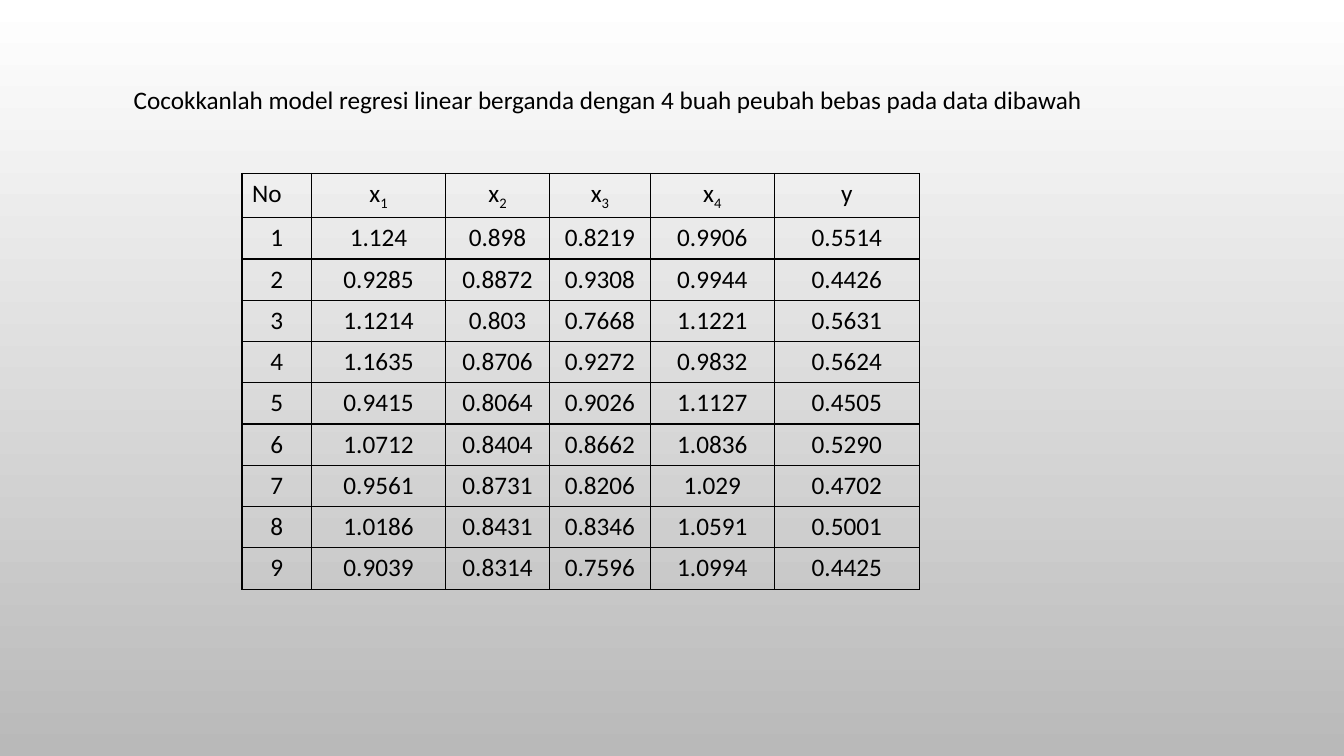
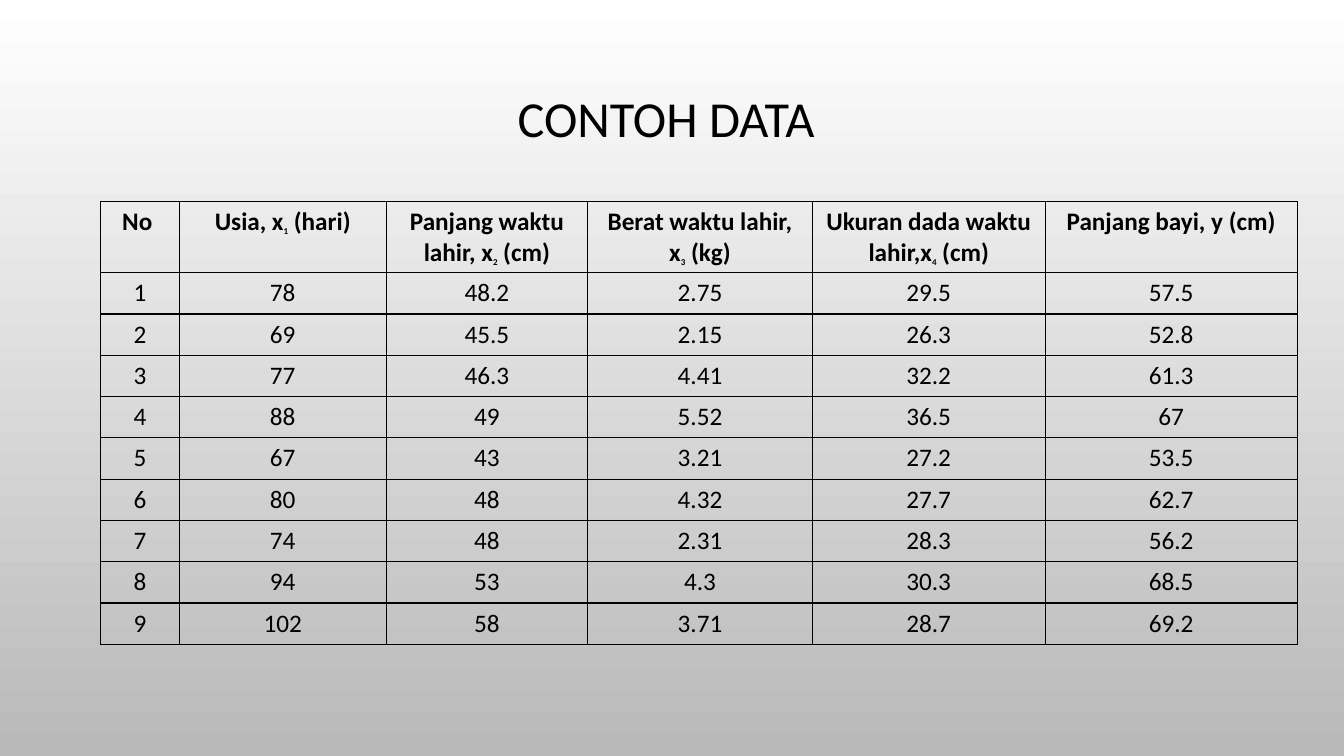
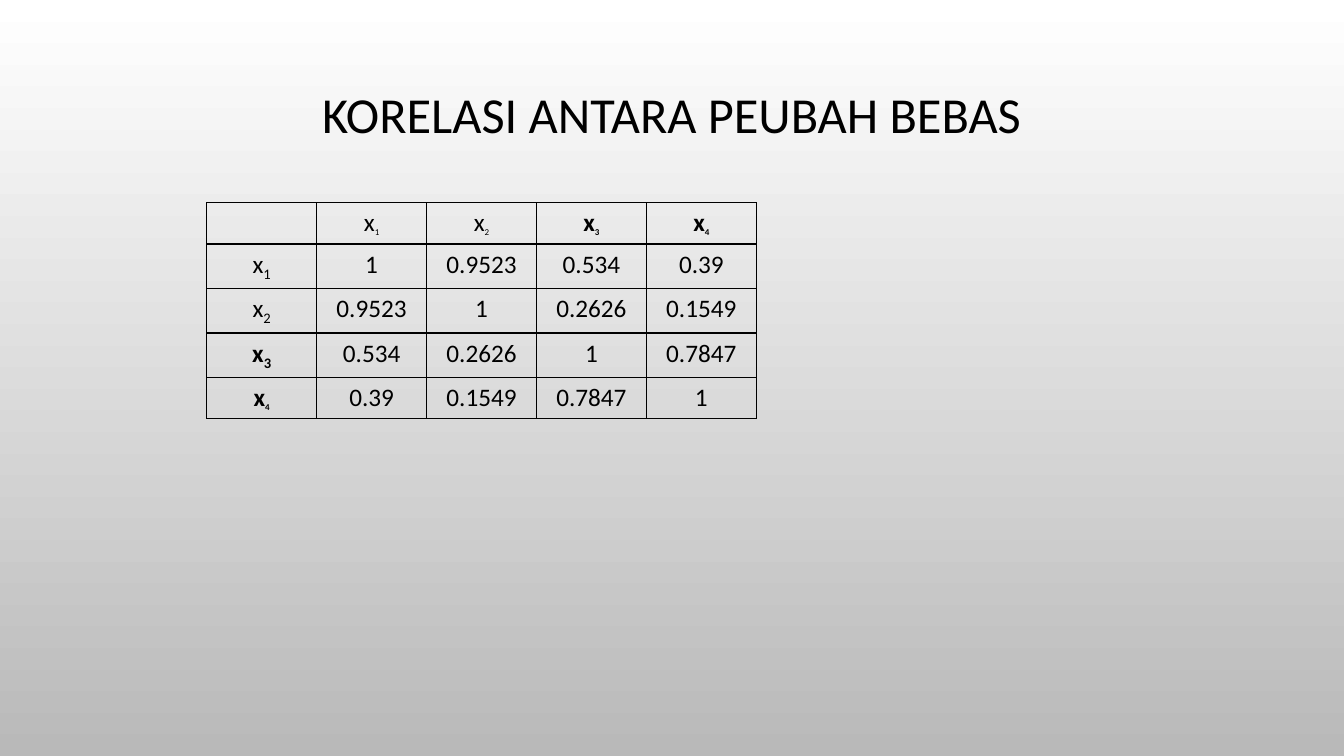
from dataclasses import dataclass

from lxml.etree import SubElement
from pptx import Presentation
from pptx.dml.color import RGBColor
from pptx.enum.text import MSO_ANCHOR, MSO_AUTO_SIZE, PP_ALIGN
from pptx.oxml import parse_xml
from pptx.oxml.ns import nsdecls, qn
from pptx.util import Cm, Pt


@dataclass(frozen=True)
class Theme:
    font: str = "Calibri"
    ink: RGBColor = RGBColor(0x00, 0x00, 0x00)
    sky: RGBColor = RGBColor(0xFF, 0xFF, 0xFF)
    ground: RGBColor = RGBColor(0xB9, 0xB9, 0xB9)
    title_size: int = 36
    body_size: int = 18
    index_size: int = 11
    border_width: int = 1
    row_height: float = 1.04


@dataclass(frozen=True)
class Label:
    text: str
    bold: bool = False
    small_index: bool = False
    align: PP_ALIGN = PP_ALIGN.CENTER


class Deck:
    """Hold the theme and the current slide, and draw each kind of element."""

    def __init__(self, theme):
        self.theme = theme
        self.presentation = Presentation()
        self.presentation.slide_width = Cm(33.87)
        self.presentation.slide_height = Cm(19.05)
        self.slide = None
        backdrop = self.presentation.slide_master.background.fill
        backdrop.gradient()
        backdrop.gradient_angle = 270
        for stop, color in zip(backdrop.gradient_stops, (theme.sky, theme.ground)):
            stop.color.rgb = color

    def new_slide(self):
        self.slide = self.presentation.slides.add_slide(self.presentation.slide_layouts[6])

    def set_label(self, paragraph, label, size):
        paragraph.alignment = label.align
        for position, piece in enumerate(label.text.split("|")):
            if not piece:
                continue
            is_index = position % 2 == 1
            run = paragraph.add_run()
            run.text = piece
            small = is_index and label.small_index
            formats = {
                "name": self.theme.font,
                "size": Pt(self.theme.index_size if small else size),
                "bold": label.bold,
            }
            for attribute, value in formats.items():
                setattr(run.font, attribute, value)
            run.font.color.rgb = self.theme.ink
            if is_index:
                run._r.get_or_add_rPr().set("baseline", "-25000")

    def text(self, label, box, size, formats, line_spacing=None):
        frame = self.slide.shapes.add_textbox(*map(Cm, box)).text_frame
        for attribute, value in formats.items():
            setattr(frame, attribute, value)
        frame.paragraphs[0].line_spacing = line_spacing
        self.set_label(frame.paragraphs[0], label, size)

    def title(self, wording, height):
        formats = {"word_wrap": True, "vertical_anchor": MSO_ANCHOR.MIDDLE}
        self.text(Label(wording), (2.54, 1.73, 28.78, height),
                  self.theme.title_size, formats, 0.9)

    def instruction(self, wording):
        formats = {"word_wrap": False, "auto_size": MSO_AUTO_SIZE.SHAPE_TO_FIT_TEXT}
        self.text(Label(wording, align=PP_ALIGN.LEFT), (3.12, 2.01, 25.17, 1.02),
                  self.theme.body_size, formats)

    def border(self, cell):
        properties = cell._tc.get_or_add_tcPr()
        for position, side in enumerate(("lnL", "lnR", "lnT", "lnB")):
            line = parse_xml(f'<a:{side} {nsdecls("a")} w="{Pt(self.theme.border_width)}"/>')
            fill = SubElement(line, qn("a:solidFill"))
            SubElement(fill, qn("a:srgbClr")).set("val", str(self.theme.ink))
            properties.insert(position, line)

    def table(self, left, top, widths, rows):
        height = self.theme.row_height * len(rows)
        grid = self.slide.shapes.add_table(
            len(rows), len(widths), Cm(left), Cm(top), Cm(sum(widths)), Cm(height)).table
        for attribute, value in {"first_row": False, "horz_banding": False}.items():
            setattr(grid, attribute, value)
        for column, width in zip(grid.columns, widths):
            column.width = Cm(width)
        for row, entries in zip(grid.rows, rows):
            row.height = Cm(self.theme.row_height)
            for cell, entry in zip(row.cells, entries):
                label = entry if isinstance(entry, Label) else Label(entry)
                cell.fill.background()
                self.border(cell)
                self.set_label(cell.text_frame.paragraphs[0], label, self.theme.body_size)


EXERCISE = """
1.124 0.898 0.8219 0.9906 0.5514
0.9285 0.8872 0.9308 0.9944 0.4426
1.1214 0.803 0.7668 1.1221 0.5631
1.1635 0.8706 0.9272 0.9832 0.5624
0.9415 0.8064 0.9026 1.1127 0.4505
1.0712 0.8404 0.8662 1.0836 0.5290
0.9561 0.8731 0.8206 1.029 0.4702
1.0186 0.8431 0.8346 1.0591 0.5001
0.9039 0.8314 0.7596 1.0994 0.4425
"""

BABIES = """
78 48.2 2.75 29.5 57.5
69 45.5 2.15 26.3 52.8
77 46.3 4.41 32.2 61.3
88 49 5.52 36.5 67
67 43 3.21 27.2 53.5
80 48 4.32 27.7 62.7
74 48 2.31 28.3 56.2
94 53 4.3 30.3 68.5
102 58 3.71 28.7 69.2
"""

CORRELATIONS = """
1 0.9523 0.534 0.39
0.9523 1 0.2626 0.1549
0.534 0.2626 1 0.7847
0.39 0.1549 0.7847 1
"""

BABY_HEADINGS = (
    "No ", "Usia, x|1| (hari)", "Panjang waktu lahir, x|2| (cm)",
    "Berat waktu lahir, x|3| (kg)", "Ukuran dada waktu lahir,x|4| (cm)",
    "Panjang bayi, y (cm)",
)


def values(block):
    return [line.split() for line in block.strip().splitlines()]


def numbered(block):
    return [[str(number), *row] for number, row in enumerate(values(block), 1)]


def variable(number, small_index):
    return Label(f"x|{number}|", bold=number > 2, small_index=small_index)


def main():
    deck = Deck(Theme())

    deck.new_slide()
    exercise_headings = [Label("No", align=PP_ALIGN.LEFT),
                         *(f"x|{number}|" for number in range(1, 5)), "y"]
    deck.table(6.1, 4.37, (1.75, 3.38, 2.62, 2.54, 3.12, 3.66),
               [exercise_headings, *numbered(EXERCISE)])
    deck.instruction("Cocokkanlah model regresi linear berganda dengan 4 buah "
                     "peubah bebas pada data dibawah")

    deck.new_slide()
    deck.title("CONTOH DATA ", 2.64)
    baby_headings = [Label(heading, bold=True, small_index=True) for heading in BABY_HEADINGS]
    deck.table(2.54, 5.08, (1.98, 5.21, 5.08, 5.66, 5.87, 6.35),
               [baby_headings, *numbered(BABIES)])

    deck.new_slide()
    deck.title("KORELASI ANTARA PEUBAH BEBAS", 2.46)
    across = ["", *(variable(number, True) for number in range(1, 5))]
    down = [[variable(number, number == 4), *row]
            for number, row in enumerate(values(CORRELATIONS), 1)]
    deck.table(5.21, 5.11, (2.77,) * 5, [across, *down])

    deck.presentation.save("out.pptx")


if __name__ == "__main__":
    main()
